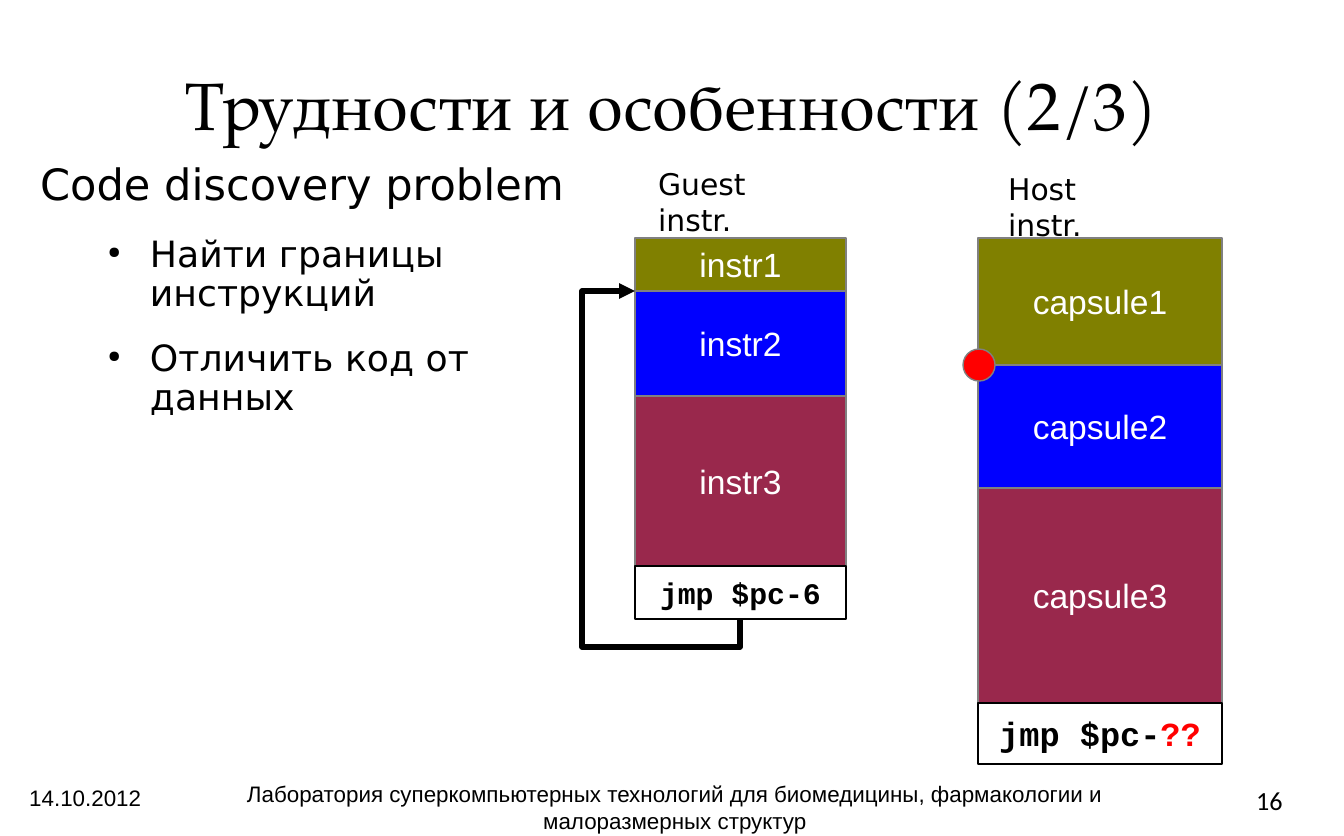
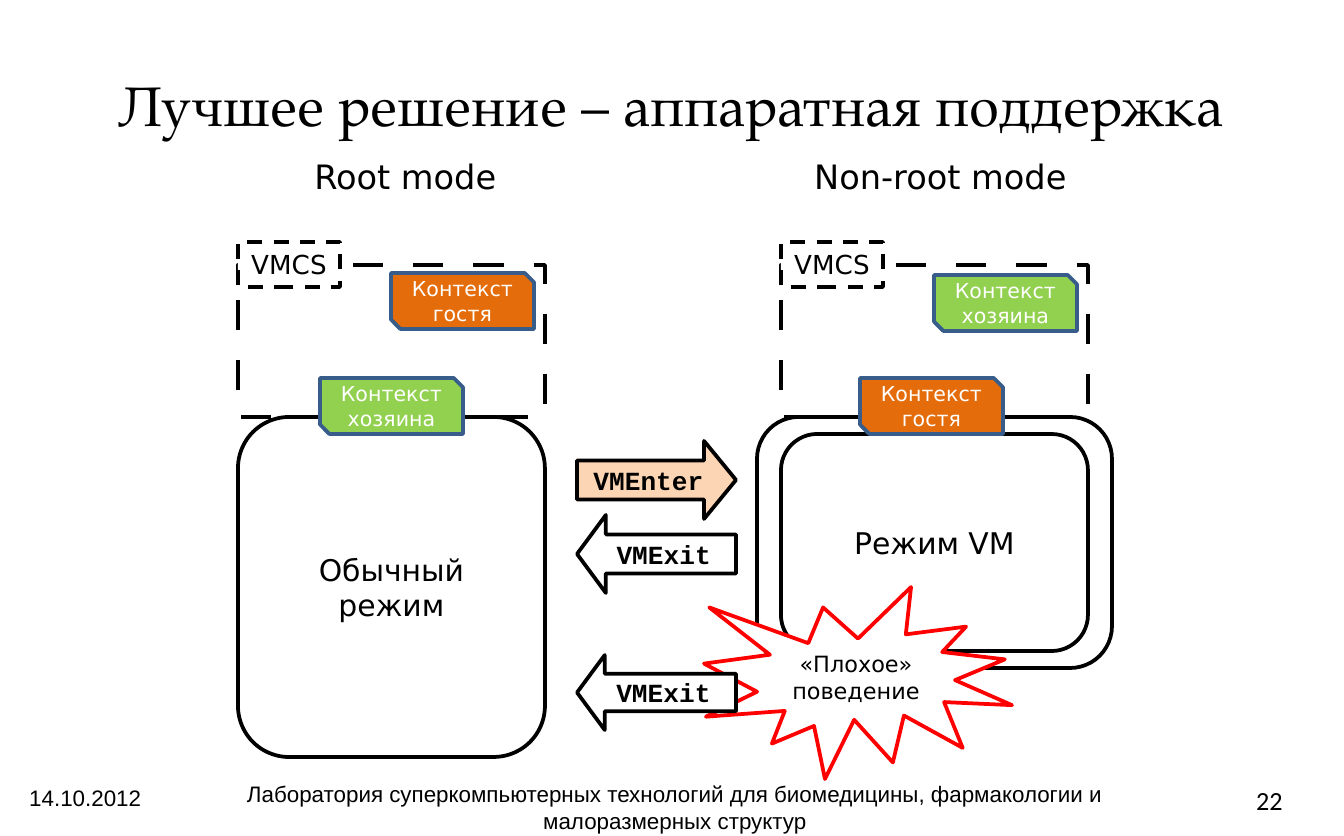
from collections import namedtuple
from dataclasses import dataclass

from lxml.etree import SubElement
from pptx import Presentation
from pptx.dml.color import RGBColor
from pptx.enum.dml import MSO_LINE_DASH_STYLE as Dash
from pptx.enum.shapes import MSO_SHAPE as Preset
from pptx.enum.text import MSO_ANCHOR as Anchor, PP_ALIGN as Align
from pptx.oxml.ns import qn
from pptx.util import Pt

EMU_PER_PX = 914400 / 134.4
Box = namedtuple("Box", "left top width height")
Style = namedtuple("Style", "font size colour bold", defaults=("000000", False))


@dataclass(frozen=True)
class Theme:
    black: str = "000000"
    white: str = "FFFFFF"
    red: str = "FF0000"
    grey: str = "808080"
    olive: str = "808000"
    blue: str = "0000FF"
    plum: str = "99284C"
    peach: str = "FCD5B5"
    guest: str = "E46C0A"
    host: str = "92D050"
    context_line: str = "385D8A"
    outline: float = 2
    title: Style = Style("TeX Gyre Pagella", 36)
    long_title: Style = Style("TeX Gyre Pagella", 30)
    footer: Style = Style("Arial", 12)
    number: Style = Style("Calibri", 14)
    lead: Style = Style("DejaVu Sans", 23.1)
    bullet: Style = Style("DejaVu Sans", 19.4)
    heading: Style = Style("DejaVu Sans", 18)
    label: Style = Style("DejaVu Sans", 16)
    tag: Style = Style("DejaVu Sans", 14)
    remark: Style = Style("DejaVu Sans", 12)
    context: Style = Style("DejaVu Sans", 11, "FFFFFF")
    block: Style = Style("Arial", 18, "FFFFFF")
    guest_jump: Style = Style("Courier New", 16, bold=True)
    host_jump: Style = Style("Courier New", 18, bold=True)
    event: Style = Style("Courier New", 14, bold=True)


THEME = Theme()


def px(value):
    return round(value * EMU_PER_PX)


def place(box):
    return [px(value) for value in box]


def rgb(colour):
    return RGBColor.from_string(colour)


def format_font(font, style):
    font.name = style.font
    font.size = Pt(style.size)
    font.bold = style.bold
    font.color.rgb = rgb(style.colour)


def write(shape, text, style, align=Align.CENTER, anchor=Anchor.MIDDLE, wrap=True, inset=None):
    frame = shape.text_frame
    frame.word_wrap = wrap
    frame.vertical_anchor = anchor
    if inset is not None:
        frame.margin_left = frame.margin_right = px(inset)
        frame.margin_top = frame.margin_bottom = px(inset)
    paragraph = frame.paragraphs[0]
    paragraph.text = text
    paragraph.alignment = align
    for run in paragraph.runs:
        format_font(run.font, style)


def add_text(slide, box, text, style, align=Align.LEFT, anchor=Anchor.TOP, wrap=True):
    shape = slide.shapes.add_textbox(*place(box))
    write(shape, text, style, align, anchor, wrap)


def paint(shape, fill=None, line=None, weight=THEME.outline):
    shape.shadow.inherit = False
    if fill:
        shape.fill.solid()
        shape.fill.fore_color.rgb = rgb(fill)
    else:
        shape.fill.background()
    if line:
        shape.line.color.rgb = rgb(line)
        shape.line.width = Pt(weight)
    else:
        shape.line.fill.background()


def add_preset(slide, preset, box, fill=None, line=None, weight=THEME.outline):
    shape = slide.shapes.add_shape(preset, *place(box))
    paint(shape, fill, line, weight)
    return shape


def add_slide(presentation, title, title_style, number):
    slide = presentation.slides.add_slide(presentation.slide_layouts[6])
    add_text(slide, Box(67, 34, 1210, 140), title, title_style, Align.CENTER, Anchor.MIDDLE)
    add_text(slide, Box(16, 778, 148, 44), "14.10.2012", THEME.footer)
    add_text(slide, Box(153, 774, 1044, 44),
             "Лаборатория суперкомпьютерных технологий для биомедицины, "
             "фармакологии и малоразмерных структур", THEME.footer, Align.CENTER)
    add_text(slide, Box(1243, 778, 75, 44), str(number), THEME.number)
    return slide


def add_problem_list(slide, box, lead, points):
    shape = slide.shapes.add_textbox(*place(box))
    frame = shape.text_frame
    frame.word_wrap = True
    frame.margin_left = frame.margin_right = frame.margin_top = frame.margin_bottom = 0
    for index, text in enumerate([lead, *points]):
        paragraph = frame.add_paragraph() if index else frame.paragraphs[0]
        paragraph.text = text
        paragraph.line_spacing = 0.9
        paragraph.space_after = Pt(14)
        margin, hanging = (126, 42) if index else (63, 47)
        properties = paragraph._p.get_or_add_pPr()
        properties.set("marL", str(px(margin)))
        properties.set("indent", str(-px(hanging)))
        if index:
            SubElement(properties, qn("a:buSzPct"), val="45000")
            SubElement(properties, qn("a:buChar"), char="●")
        else:
            SubElement(properties, qn("a:buNone"))
        format_font(paragraph.runs[0].font, THEME.bullet if index else THEME.lead)


def add_code_stack(slide, box, name, heights, jump, jump_style):
    top = box.top
    colours = (THEME.olive, THEME.blue, THEME.plum)
    for index, (height, colour) in enumerate(zip(heights, colours), 1):
        block = add_preset(slide, Preset.RECTANGLE, Box(box.left, top, box.width, height),
                           colour, THEME.grey, 0)
        write(block, f"{name}{index}", THEME.block)
        top += height
    shape = add_preset(slide, Preset.RECTANGLE,
                       Box(box.left, top, box.width, box.top + box.height - top),
                       THEME.white, THEME.black, 1.13)
    write(shape, jump, jump_style, wrap=False)
    return shape


def add_jump_arrow(slide, points):
    start, *rest = [(px(x), px(y)) for x, y in points]
    builder = slide.shapes.build_freeform(*start)
    builder.add_line_segments(rest, close=False)
    arrow = builder.convert_to_shape()
    paint(arrow, line=THEME.black, weight=2.83)
    SubElement(arrow.line._get_or_add_ln(), qn("a:tailEnd"), type="triangle")


def build_discovery(presentation):
    slide = add_slide(presentation, "Трудности и особенности (2/3)", THEME.title, 16)
    add_problem_list(slide, Box(24, 163, 547, 270), "Code discovery problem",
                     ["Найти границы инструкций", "Отличить код от данных"])
    add_text(slide, Box(645, 159, 196, 48), "Guest instr.", THEME.label, wrap=False)
    add_text(slide, Box(995, 164, 177, 48), "Host instr.", THEME.label, wrap=False)

    guest = Box(635, 238, 211, 381)
    host = Box(978, 238, 244, 526)
    add_code_stack(slide, guest, "instr", (53, 105, 170), "jmp $pc-6", THEME.guest_jump)
    host_jump = add_code_stack(slide, host, "capsule", (127, 123, 215),
                               "jmp $pc-", THEME.host_jump)
    unknown = host_jump.text_frame.paragraphs[0].add_run()
    unknown.text = "??"
    format_font(unknown.font, THEME.host_jump._replace(colour=THEME.red))

    middle, bottom = guest.left + guest.width // 2, guest.top + guest.height
    target, outer = guest.top + 53, guest.left - 53
    add_jump_arrow(slide, [(middle, bottom), (middle, bottom + 28), (outer, bottom + 28),
                           (outer, target), (guest.left, target)])
    add_preset(slide, Preset.OVAL, Box(host.left - 15, host.top + 111, 32, 32),
               THEME.red, THEME.grey, 0)


def add_mode_box(slide, box, text=""):
    shape = add_preset(slide, Preset.ROUNDED_RECTANGLE, box, THEME.white, THEME.black)
    if text:
        write(shape, text, THEME.label)


def add_context(slide, left, top, owner):
    text, colour = owner
    shape = add_preset(slide, Preset.SNIP_2_DIAG_RECTANGLE, Box(left, top, 143, 56),
                       colour, THEME.context_line)
    write(shape, text, THEME.context, inset=0)


def add_vmcs(slide, box, stored, stored_top, active, active_left):
    frame = add_preset(slide, Preset.RECTANGLE, box, line=THEME.black)
    dashes = SubElement(frame.line._get_or_add_ln(), qn("a:custDash"))
    SubElement(dashes, qn("a:ds"), d="800000", sp="800000")
    tag = add_preset(slide, Preset.RECTANGLE, Box(box.left, box.top - 23, 102, 45),
                     THEME.white, THEME.black)
    tag.line.dash_style = Dash.DASH
    write(tag, "VMCS", THEME.tag, wrap=False)
    add_context(slide, box.left + 153, box.top + stored_top, stored)
    add_context(slide, box.left + active_left, box.top + 113, active)


def add_event(slide, preset, box, text, fill, head):
    arrow = add_preset(slide, preset, box, fill, THEME.black)
    arrow.adjustments[1] = head
    write(arrow, text, THEME.event, wrap=False, inset=0)


def build_hardware(presentation):
    slide = add_slide(presentation, "Лучшее решение – аппаратная поддержка",
                      THEME.long_title, 22)
    guest = ("Контекст гостя", THEME.guest)
    host = ("Контекст хозяина", THEME.host)
    root = Box(238, 265, 307, 152)
    non_root = root._replace(left=781)

    add_text(slide, Box(301, 149, 210, 54), "Root mode", THEME.heading, wrap=False)
    add_text(slide, Box(801, 149, 280, 54), "Non-root mode", THEME.heading, wrap=False)
    add_mode_box(slide, Box(root.left, 417, root.width, 340), "Обычный режим")
    add_mode_box(slide, Box(757, 417, 355, 251))
    add_mode_box(slide, Box(non_root.left, 434, non_root.width, 217), "Режим VM")
    add_vmcs(slide, root, guest, 8, host, 82)
    add_vmcs(slide, non_root, host, 10, guest, 79)

    burst = add_preset(slide, Preset.EXPLOSION1, Box(704, 587, 308, 192),
                       THEME.white, THEME.red)
    write(burst, "«Плохое» поведение", THEME.remark)
    event = Box(577, 441, 159, 78)
    add_event(slide, Preset.RIGHT_ARROW, event, "VMEnter", THEME.peach, 0.41)
    for top, height in ((515, 78), (655, 75)):
        add_event(slide, Preset.LEFT_ARROW, event._replace(top=top, height=height),
                  "VMExit", THEME.white, 0.37)


def main():
    presentation = Presentation()
    presentation.slide_width = px(1344)
    presentation.slide_height = px(836)
    build_discovery(presentation)
    build_hardware(presentation)
    presentation.save("out.pptx")


if __name__ == "__main__":
    main()
